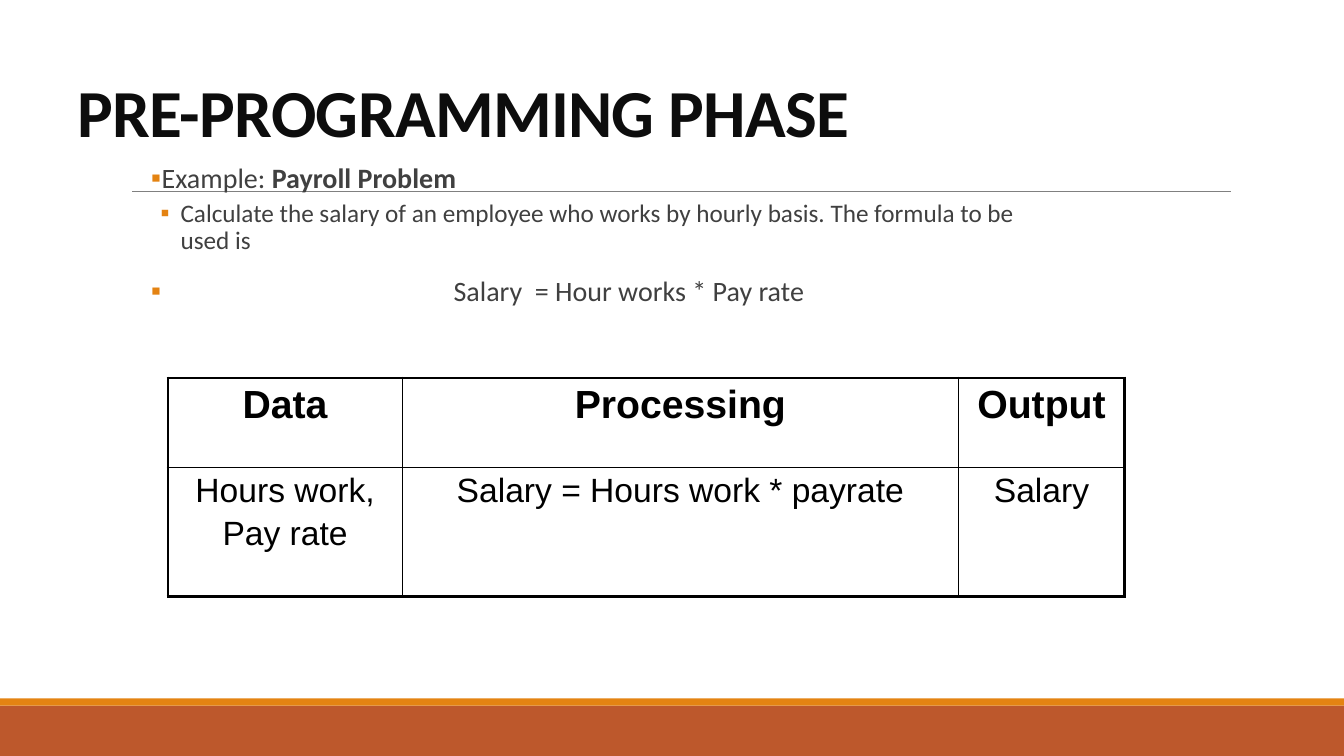
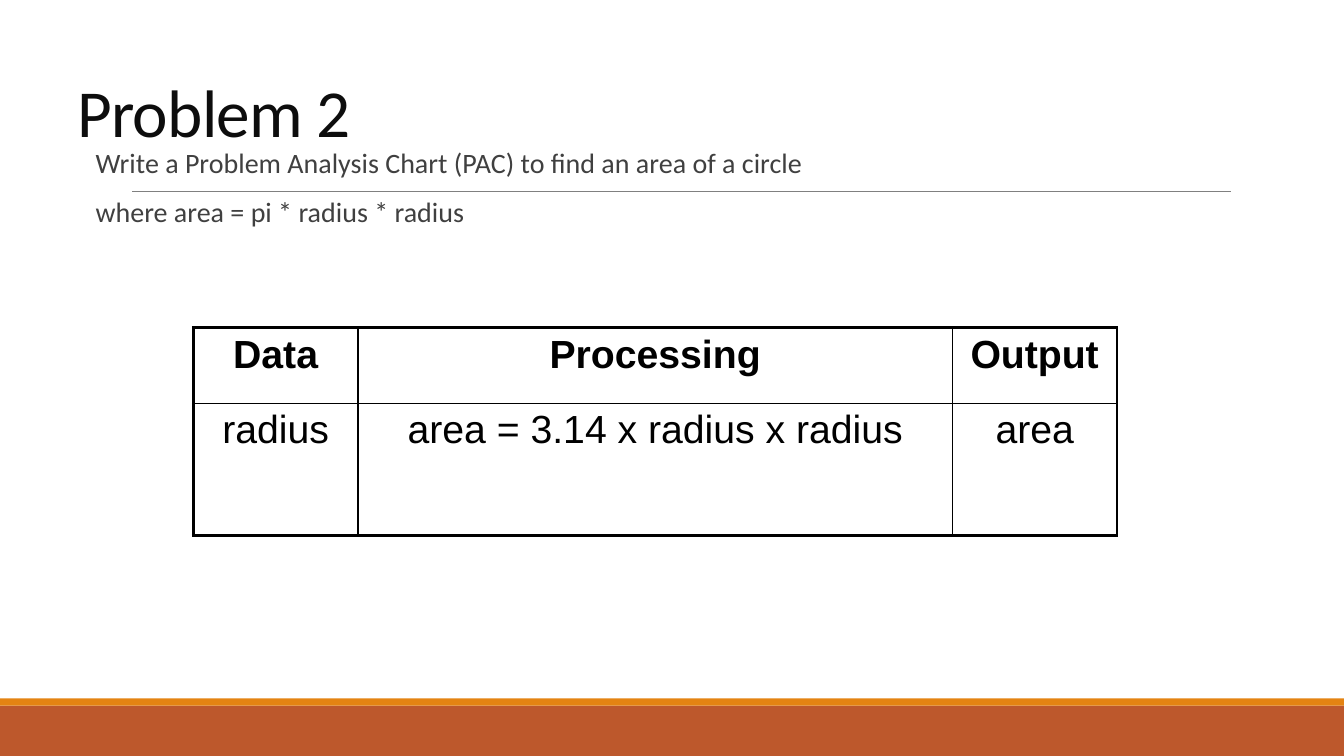
from lxml import etree
from pptx import Presentation
from pptx import util as u
from pptx.dml.color import RGBColor
from pptx.enum import shapes, text
from pptx.oxml.ns import qn

PX = 9525  # EMU in one px, 96 px to the inch
WIDTH, HEIGHT = 1280, 720
RUST, ORANGE, GREY = "BD582C", "E48312", "808080"
TITLE_INK, BODY_INK, BLACK = "0D0D0D", "404040", "000000"
BODY_FONT, TABLE_FONT = "Calibri", "Arial"
OUTER_LINE, INNER_LINE = 2.25, 1

BANDS = [((0, 672, WIDTH, 48), RUST), ((0, 665, WIDTH, 7), ORANGE)]
RULE = (126, 182, 1172, 182)
TITLE_BOX = (64, 29, 1152, 120)
HEADER = ["Data", "Processing", "Output"]

# Paragraph kinds: size, space before and after, level, left indent, hanging, bullet
KINDS = {
    "plain": (20, 12, 2, 0, 0, 0, False),
    "bullet": (20, 12, 2, 0, 10, 10, True),
    "sub": (18, 2, 4, 1, 28, 19, True),
}
FORMULA_TAB = 288

SLIDES = [
    {
        "title": ("PRE-PROGRAMMING PHASE", True),
        "body_box": (144, 152, 864, 184),
        "body": [
            ("bullet", [("Example: ", False), ("Payroll Problem", True)]),
            ("sub", [("Calculate the salary of an employee who works by hourly "
                      "basis. The formula to be used is", False)]),
            ("bullet", [("\tSalary  = Hour works * Pay rate", False)]),
        ],
        "table_at": (160, 360),
        "cols": (223, 530, 158),
        "rows": (85, 123),
        "answer_size": 24,
        "answer": ["Hours work,\nPay rate", "Salary = Hours work * payrate", "Salary"],
    },
    {
        "title": ("Problem 2", False),
        "body_box": (91, 137, 880, 120),
        "body": [
            ("plain", [("Write a Problem Analysis Chart (PAC) to find an area "
                        "of a circle", False)]),
            ("plain", [("where area = pi * radius * radius", False)]),
        ],
        "table_at": (184, 312),
        "cols": (157, 566, 157),
        "rows": (72, 126),
        "answer_size": 28,
        "answer": ["radius", "area = 3.14 x radius x radius", "area"],
    },
]


def px(*lengths):
    return [u.Emu(n * PX) for n in lengths]


def color(code):
    return RGBColor.from_string(code)


def child(parent, tag, **attrs):
    return etree.SubElement(parent, qn(tag), attrs)


def set_font(p, name, size, ink, bold=None):
    p.font.name, p.font.size, p.font.bold = name, u.Pt(size), bold
    p.font.color.rgb = color(ink)


def paragraphs(tf, count):
    """Yield the first paragraph of tf, then new ones, count in all."""
    yield tf.paragraphs[0]
    for _ in range(count - 1):
        yield tf.add_paragraph()


def add_frame(s):
    """Draw the bands and the rule that every slide shares."""
    for box, fill in BANDS:
        sp = s.shapes.add_shape(shapes.MSO_SHAPE.RECTANGLE, *px(*box))
        sp.shadow.inherit = False
        sp.fill.solid()
        sp.fill.fore_color.rgb = color(fill)
        sp.line.fill.background()
    rule = s.shapes.add_connector(shapes.MSO_CONNECTOR.STRAIGHT, *px(*RULE))
    rule.line.color.rgb = color(GREY)
    rule.line.width = u.Pt(0.5)
    child(rule._element.spPr, "a:effectLst")


def add_title(s, title, bold):
    tf = s.shapes.add_textbox(*px(*TITLE_BOX)).text_frame
    tf.word_wrap = True
    tf.vertical_anchor = text.MSO_ANCHOR.BOTTOM
    p = tf.paragraphs[0]
    p.line_spacing = 0.85
    set_font(p, BODY_FONT, 48, TITLE_INK, bold)
    r = p.add_run()
    r.text = title
    r._r.get_or_add_rPr().set("spc", "-50")


def add_bullet(pPr):
    child(child(pPr, "a:buClr"), "a:srgbClr", val=ORANGE)
    child(pPr, "a:buFont", typeface=BODY_FONT)
    child(pPr, "a:buChar", char="▪")


def add_body(s, box, body):
    tf = s.shapes.add_textbox(*px(*box)).text_frame
    tf.word_wrap = True
    tf.margin_left = tf.margin_right = 0
    for i, (p, (kind, runs)) in enumerate(zip(paragraphs(tf, len(body)), body)):
        size, before, after, level, left, hanging, bulleted = KINDS[kind]
        p.level = level
        pPr = p._p.get_or_add_pPr()
        pPr.set("marL", str(left * PX))
        pPr.set("indent", str(-hanging * PX))
        if bulleted:
            add_bullet(pPr)
        if runs[0][0].startswith("\t"):
            child(child(pPr, "a:tabLst"), "a:tab", pos=str(FORMULA_TAB * PX), algn="l")
        p.line_spacing = 0.9
        if i:
            p.space_before = u.Pt(before)
        p.space_after = u.Pt(after)
        set_font(p, BODY_FONT, size, BODY_INK)
        for words, bold in runs:
            r = p.add_run()
            r.text, r.font.bold = words, bold


def add_borders(cell, outer_sides):
    tcPr = cell._tc.get_or_add_tcPr()
    for side in "LRTB":
        width = OUTER_LINE if side in outer_sides else INNER_LINE
        ln = child(tcPr, f"a:ln{side}", w=str(u.Pt(width)))
        child(child(ln, "a:solidFill"), "a:srgbClr", val=BLACK)


def add_analysis_table(s, at, cols, rows, answer, answer_size):
    size = (sum(cols), sum(rows))
    table = s.shapes.add_table(len(rows), len(cols), *px(*at, *size)).table
    table.first_row = table.horz_banding = False
    for col, width in zip(table.columns, px(*cols)):
        col.width = width
    for row, height in zip(table.rows, px(*rows)):
        row.height = height
    for i, (entries, pt) in enumerate([(HEADER, 28), (answer, answer_size)]):
        for j, entry in enumerate(entries):
            cell = table.cell(i, j)
            edges = {"L": j == 0, "R": j == len(cols) - 1,
                     "T": i == 0, "B": i == len(rows) - 1}
            add_borders(cell, [side for side, outer in edges.items() if outer])
            cell.fill.background()
            lines = entry.split("\n")
            for k, (p, line) in enumerate(zip(paragraphs(cell.text_frame, len(lines)), lines)):
                p.alignment = text.PP_ALIGN.CENTER
                if k:
                    p.space_before = u.Pt(4)
                set_font(p, TABLE_FONT, pt, BLACK, bold=i == 0)
                p.add_run().text = line


def main():
    prs = Presentation()
    prs.slide_width, prs.slide_height = px(WIDTH, HEIGHT)
    for content in SLIDES:
        s = prs.slides.add_slide(prs.slide_layouts[6])
        add_frame(s)
        add_title(s, *content["title"])
        add_body(s, content["body_box"], content["body"])
        add_analysis_table(s, content["table_at"], content["cols"], content["rows"],
                           content["answer"], content["answer_size"])
    prs.save("out.pptx")


if __name__ == "__main__":
    main()
